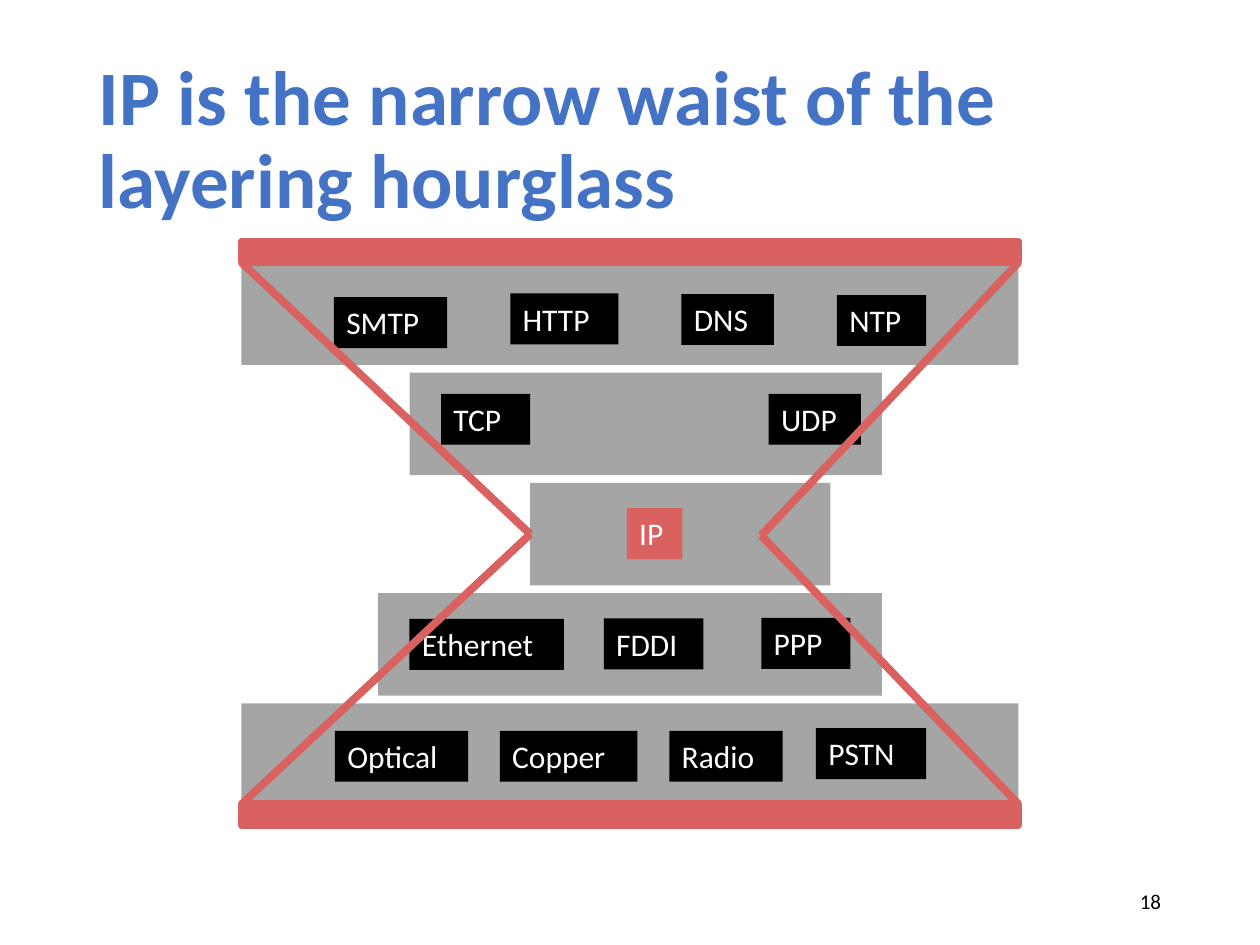
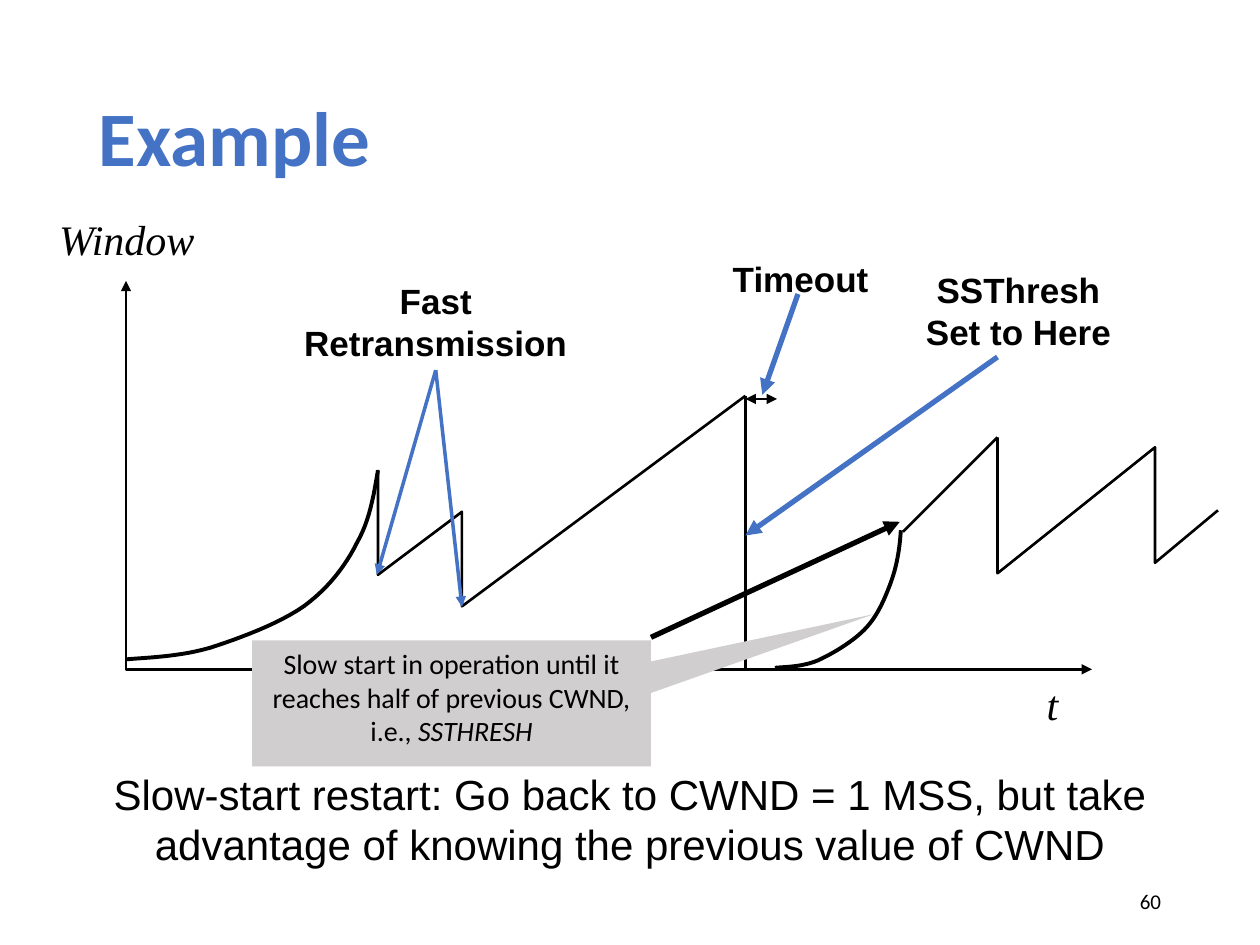
from lxml.etree import SubElement
from pptx import Presentation
from pptx.dml.color import RGBColor
from pptx.enum.shapes import MSO_CONNECTOR, MSO_SHAPE
from pptx.enum.text import MSO_ANCHOR, PP_ALIGN
from pptx.oxml.ns import qn
from pptx.util import Emu, Pt

BLUE = RGBColor(0x44, 0x72, 0xC4)
GRAY = RGBColor(0xA5, 0xA5, 0xA5)
PALE = RGBColor(0xD0, 0xCE, 0xCE)
RED = RGBColor(0xD9, 0x61, 0x5F)
BLACK = RGBColor(0, 0, 0)
WHITE = RGBColor(255, 255, 255)

COLS, ROWS = 120, 90
CELL = 76200
STEPS = 12

LAYERS = [(23, 74), (39, 45), (50.5, 28.6), (36, 48), (23, 74)]
CHIPS = [
    [("SMTP", 31.8, 28.3, 10.8), ("HTTP", 48.6, 27.95, 10.3),
     ("DNS", 64.9, 28, 8.8), ("NTP", 79.7, 28.1, 8.5)],
    [("TCP", 42, 37.5, 8.5), ("UDP", 73.2, 37.5, 8.8)],
    [("IP", 59.7, 48.4, 5.3)],
    [("Ethernet", 39, 58.95, 14.7), ("FDDI", 57.5, 58.9, 9.5),
     ("PPP", 72.5, 58.85, 8.5)],
    [("Optical", 31.9, 69.6, 12.7), ("Copper", 47.6, 69.6, 13.1),
     ("Radio", 63.75, 69.6, 10.8), ("PSTN", 77.7, 69.35, 10.5)],
]

FIRST = [(36, 44.8), (35.6, 47.2), (35.2, 49.6), (34, 51.7),
         (32.9, 53.9), (31.3, 56), (29, 57.7),
         (26.6, 59.4), (22.8, 60.8), (20, 61.7),
         (17.2, 62.5), (14.6, 62.6), (12, 62.8)]
SECOND = [(85.8, 50.5), (85.7, 52.3), (85.4, 54), (84.8, 55.6),
          (84.2, 57.2), (83.5, 58.8), (82.3, 60),
          (81.1, 61.2), (79.2, 62.3), (77.9, 62.9),
          (76.4, 63.5), (75.1, 63.5), (73.8, 63.6)]


def grid(*cells):
    return [Emu(round(cell * CELL)) for cell in cells]


def text(shape, words, size=18, font="Calibri", color=BLACK, bold=False,
         align=PP_ALIGN.LEFT, anchor=MSO_ANCHOR.TOP, space=None, slant=False,
         ending=""):
    frame = shape.text_frame
    frame.word_wrap = True
    frame.vertical_anchor = anchor
    for num, line in enumerate(words.split("\n")):
        para = frame.add_paragraph() if num else frame.paragraphs[0]
        para.alignment = align
        para.line_spacing = space
        para.add_run().text = line
    if ending:
        para.add_run().text = ending
    for para in frame.paragraphs:
        for run in para.runs:
            run.font.size = Pt(size)
            run.font.name = font
            run.font.color.rgb = color
            run.font.bold = bold
            run.font.italic = slant
    if ending:
        run.font.italic = True
    return shape


def label(art, box, words, **style):
    return text(art.add_textbox(*grid(*box)), words, **style)


def block(art, box, fill, kind=MSO_SHAPE.RECTANGLE):
    shape = art.add_shape(kind, *grid(*box))
    shape.shadow.inherit = False
    shape.fill.solid()
    shape.fill.fore_color.rgb = fill
    shape.line.fill.background()
    return shape


def stroke(shape, color, width, head=False, tail=False):
    shape.line.color.rgb = color
    shape.line.width = Pt(width)
    line = shape.line._get_or_add_ln()
    SubElement(line, qn("a:round"))
    for name, drawn in (("a:headEnd", head), ("a:tailEnd", tail)):
        if drawn:
            SubElement(line, qn(name), type="triangle")


def link(art, start, end, color=BLACK, width=1.5, **ends):
    wire = art.add_connector(MSO_CONNECTOR.STRAIGHT, *grid(*start, *end))
    stroke(wire, color, width, **ends)
    SubElement(wire._element.spPr, qn("a:effectLst"))
    return wire


def trace(art, points, width=1.5, **ends):
    pen = art.build_freeform(*grid(*points[0]), scale=1.0)
    pen.add_line_segments([grid(*point) for point in points[1:]], close=False)
    shape = pen.convert_to_shape()
    shape.shadow.inherit = False
    shape.fill.background()
    stroke(shape, BLACK, width, **ends)


def bend(knots):
    points = [knots[0]]
    for first in range(0, len(knots) - 1, 3):
        part = knots[first:first + 4]
        for step in range(1, STEPS + 1):
            t = step / STEPS
            rest = 1 - t
            share = (rest ** 3, 3 * rest ** 2 * t, 3 * rest * t ** 2, t ** 3)
            points.append(tuple(sum(s * knot[axis] for s, knot in zip(share, part))
                                for axis in (0, 1)))
    return points


def start(deck, title, page):
    art = deck.slides.add_slide(deck.slide_layouts[6]).shapes
    label(art, (8.25, 4.8, 103.5, 17.4), title, size=44, color=BLUE, bold=True,
          anchor=MSO_ANCHOR.MIDDLE, space=0.9)
    label(art, (84.75, 83.4, 27, 4.8), str(page), size=12,
          align=PP_ALIGN.RIGHT, anchor=MSO_ANCHOR.MIDDLE)
    return art


def waist(deck):
    art = start(deck, "IP is the narrow waist of the layering hourglass", 18)
    bands = [block(art, (left, 25 + 10.5 * row, width, 9.75), GRAY)
             for row, (left, width) in enumerate(LAYERS)]
    for row in CHIPS:
        for name, left, top, width in row:
            chip = block(art, (left, top, width, 4.85),
                         RED if name == "IP" else BLACK)
            text(chip, name, color=WHITE)
    for edge in (25, 76.6):
        wire = link(art, (23, edge), (50.5, 51), RED, 4.5)
        wire.end_connect(bands[2], 1)
        link(art, (97, edge), (72.5, 51), RED, 4.5)
    for top in (23, 76.6):
        stroke(block(art, (23, top, 74, 2), RED), RED, 4.5)


def window(deck):
    art = start(deck, "Example", 60)
    trace(art, [(12, 26.75), (12, 63.75), (104, 63.75)], head=True, tail=True)
    trace(art, bend(FIRST), 2.25)
    axis = dict(size=24, font="Times New Roman", slant=True)
    label(art, (98.5, 64, 3.5, 6), "t", **axis)
    label(art, (4.45, 19.7, 15.5, 6), "Window", **axis)
    label(art, (8.6, 72.6, 102.8, 10.9),
          "Slow-start restart: Go back to CWND = 1 MSS, but take advantage "
          "of knowing the previous value of CWND",
          size=24, font="Arial", align=PP_ALIGN.CENTER)
    trace(art, [(36, 44.75), (36, 54.75), (44, 48.75), (44, 57.75), (71, 37.7)])
    link(art, (71, 37.7), (71, 63.75))
    trace(art, bend(SECOND), 2.25)

    note = block(art, (24, 61, 38, 12), PALE, MSO_SHAPE.RECTANGULAR_CALLOUT)
    note.adjustments[0] = 1.06
    note.adjustments[1] = -0.71
    text(note, "Slow start in operation until it reaches half of previous CWND, i.e., ",
         size=16, align=PP_ALIGN.CENTER, ending="SSTHRESH")

    trace(art, [(95, 41.65), (95, 54.6), (110, 42.6), (110, 53.6), (116, 48.6)])
    link(art, (86, 50.65), (95, 41.65))
    link(art, (62, 60.7), (85.7, 49.7), width=3, tail=True)

    tag = dict(size=20, font="Arial", bold=True, align=PP_ALIGN.CENTER)
    link(art, (76, 28), (72.6, 37.6), BLUE, 3, tail=True)
    label(art, (67, 23.9, 18.5, 5.2), "Timeout", **tag)
    link(art, (71, 38), (74, 38), width=0.75, head=True, tail=True)
    fast = label(art, (26, 26, 31, 9.25), "Fast Retransmission", **tag)
    for drop in ((35.9, 54.75), (44, 57.8)):
        link(art, (41.5, 35.25), drop, BLUE, 2, tail=True).begin_connect(fast, 2)
    link(art, (95, 34), (71, 51), BLUE, 3, tail=True)
    label(art, (85, 25, 24, 9.25), "SSThresh\nSet to Here", **tag)


def main():
    deck = Presentation()
    deck.slide_width, deck.slide_height = grid(COLS, ROWS)
    waist(deck)
    window(deck)
    deck.save("out.pptx")


if __name__ == "__main__":
    main()
